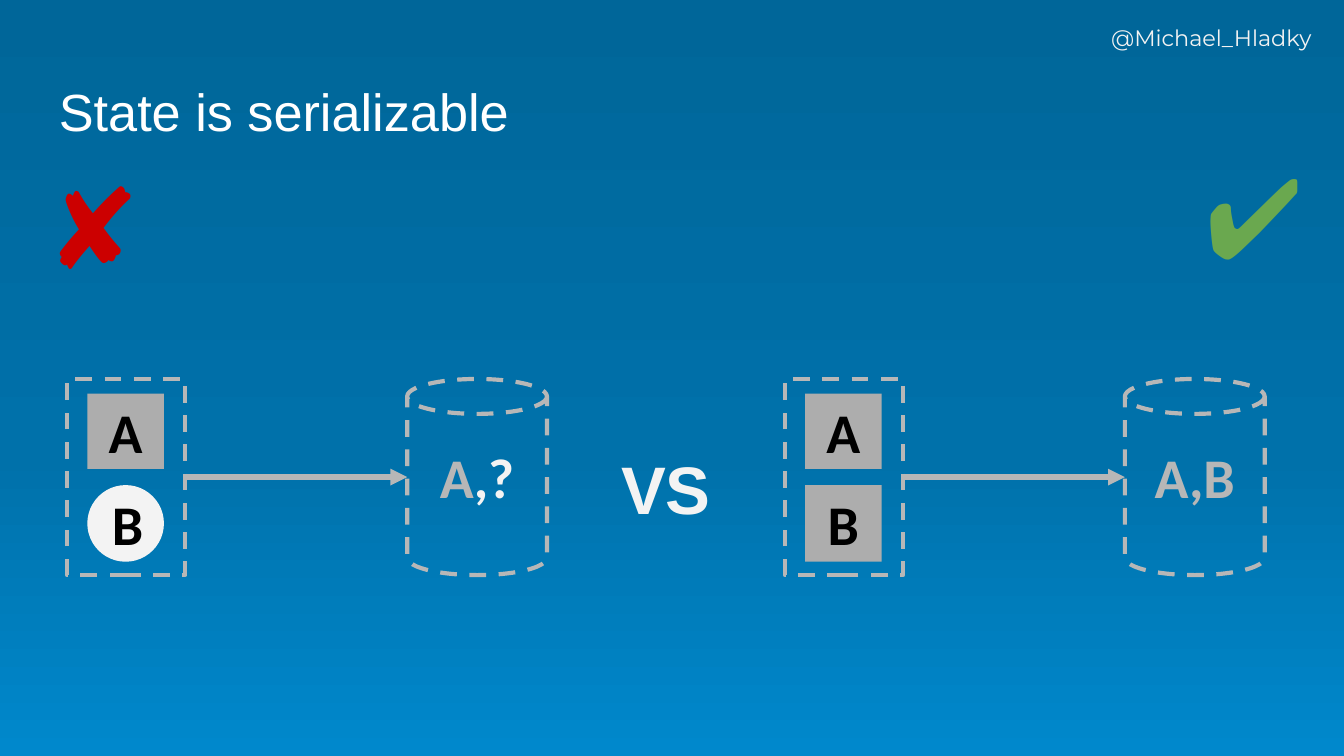
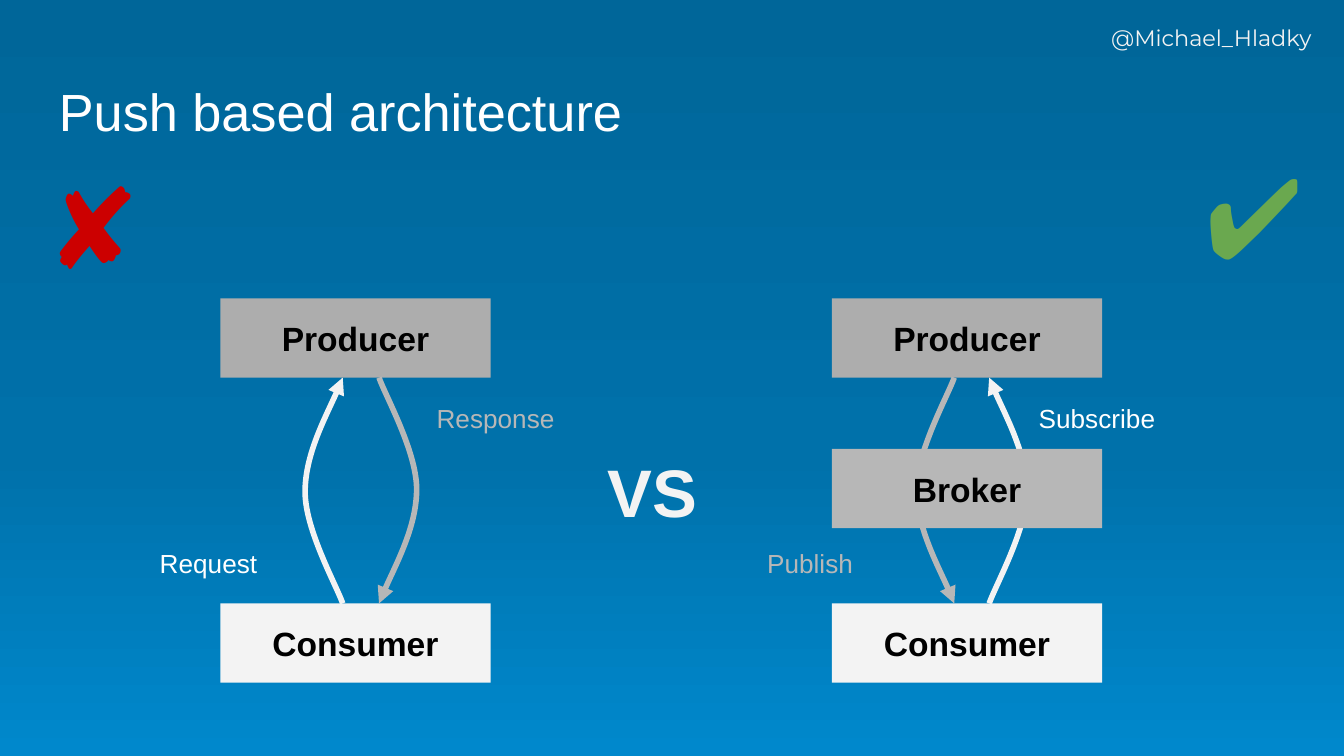
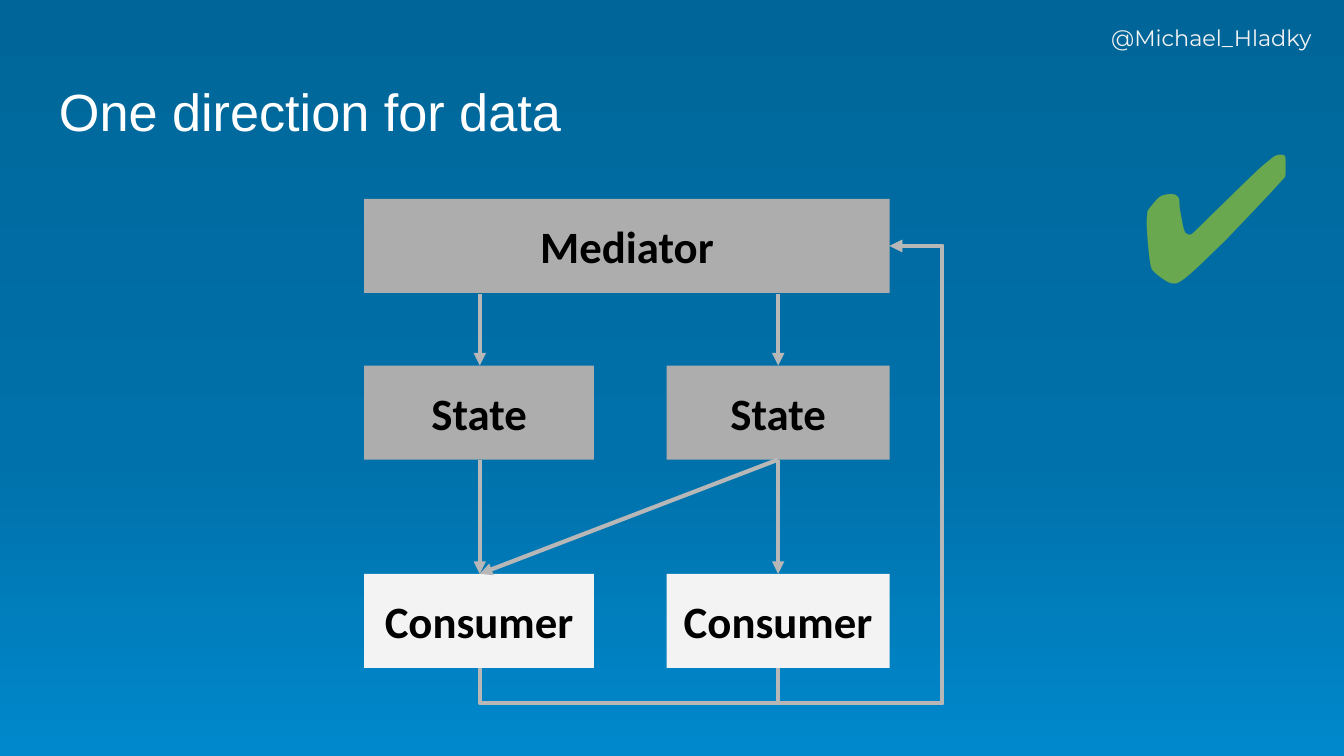
from copy import deepcopy

from lxml.etree import SubElement
from pptx import Presentation
from pptx.dml.color import RGBColor
from pptx.enum.dml import MSO_LINE
from pptx.enum.shapes import MSO_CONNECTOR as Link, MSO_SHAPE as Kind
from pptx.enum.text import MSO_ANCHOR as Anchor, PP_ALIGN as Align
from pptx.oxml.ns import qn
from pptx.util import Inches, Pt

WHITE = RGBColor(0xFF, 0xFF, 0xFF)
BLACK = RGBColor(0x00, 0x00, 0x00)
PALE = RGBColor(0xF3, 0xF3, 0xF3)
SILVER = RGBColor(0xB7, 0xB7, 0xB7)
GRAY = RGBColor(0xAD, 0xAD, 0xAD)
RED = RGBColor(0xCC, 0x00, 0x00)
GREEN = RGBColor(0x6A, 0xA8, 0x4F)
SKY = [
    (0, RGBColor(0x00, 0x66, 0x99)),
    (0.6, RGBColor(0x00, 0x71, 0xAA)),
    (1, RGBColor(0x00, 0x88, 0xCC)),
]


def write(shape, text, font="Arial", size=14, color=WHITE, bold=False,
          align=Align.LEFT, anchor=Anchor.TOP):
    """Fill a shape with text: a string, or a list of (string, colour) runs."""
    frame = shape.text_frame
    frame.word_wrap = True
    frame.vertical_anchor = anchor
    frame.margin_left = frame.margin_right = Inches(0.1)
    frame.margin_top = frame.margin_bottom = Inches(0.1)
    para = frame.paragraphs[0]
    para.alignment = align
    runs = [(text, color)] if isinstance(text, str) else text
    for part, tint in runs:
        run = para.add_run()
        run.text = part
        run.font.name = font
        run.font.size = Pt(size)
        run.font.bold = bold
        run.font.color.rgb = tint


def label(slide, text, *box, **style):
    write(slide.shapes.add_textbox(*map(Inches, box)), text, **style)


def block(slide, text, *box, fill=GRAY, kind=Kind.RECTANGLE, **style):
    """Add a filled shape with bold black text in its middle."""
    shape = slide.shapes.add_shape(kind, *map(Inches, box))
    shape.shadow.inherit = False
    shape.fill.solid()
    shape.fill.fore_color.rgb = fill
    shape.line.fill.background()
    write(shape, text, color=BLACK, bold=True, align=Align.CENTER,
          anchor=Anchor.MIDDLE, **style)


def stroke(item, color=SILVER, width=2.25, arrow=True):
    item.line.color.rgb = color
    item.line.width = Pt(width)
    if arrow:
        ln = item.element.spPr.find(qn("a:ln"))
        SubElement(ln, qn("a:tailEnd"), type="triangle")


def dashed(slide, kind, *box):
    shape = slide.shapes.add_shape(kind, *map(Inches, box))
    shape.shadow.inherit = False
    shape.fill.background()
    stroke(shape, arrow=False)
    shape.line.dash_style = MSO_LINE.DASH


def join(slide, *ends, kind=Link.STRAIGHT, width=2.25):
    """Add an arrow between two points given as x1, y1, x2, y2."""
    link = slide.shapes.add_connector(kind, *map(Inches, ends))
    stroke(link, width=width)
    SubElement(link.element.spPr, qn("a:effectLst"))
    return link


def loop(slide, x1, y1, x2, y2, low, right):
    """Add an arrow that leaves downward, turns at low and right, and ends leftward."""
    rise, run = y1 - y2, x2 - x1
    left, top = (x1 + x2 - rise) / 2, (y1 + y2 - run) / 2
    link = join(slide, left, top, left + rise, top + run, kind=Link.ELBOW)
    props = link.element.spPr
    props.find(qn("a:xfrm")).set("rot", str(270 * 60000))
    geom = props.find(qn("a:prstGeom"))
    geom.set("prst", "bentConnector4")
    guides = geom.find(qn("a:avLst"))
    ratios = (y1 - low) / rise, (right - x1) / run
    for num, ratio in enumerate(ratios, 1):
        SubElement(guides, qn("a:gd"), name=f"adj{num}",
                   fmla=f"val {round(ratio * 100000)}")


def curve(slide, x, side, color, up):
    """Add a bowed arrow between producer and consumer; side is -1 or 1."""
    shifts = [0, 0.05, 0.28, 0.28, 0.28, 0.05, 0]
    drops = [1.68, 1.54, 1.13, 0.85, 0.57, 0.14, 0]
    base, sign = (2.81, 1) if up else (4.49, -1)
    start, *rest = [(Inches(x + side * shift), Inches(base + sign * drop))
                    for shift, drop in zip(shifts, drops)]
    pen = slide.shapes.build_freeform(*start)
    pen.add_line_segments(rest, close=False)
    shape = pen.convert_to_shape()
    trail = shape.element.find(".//" + qn("a:path"))
    lines = trail.findall(qn("a:lnTo"))
    for first in range(0, len(lines), 3):
        bend = SubElement(trail, qn("a:cubicBezTo"))
        for line in lines[first:first + 3]:
            bend.append(line[0])
            trail.remove(line)
    shape.shadow.inherit = False
    shape.fill.background()
    stroke(shape, color, 3)


def start_slide(deck, title):
    slide = deck.slides.add_slide(deck.slide_layouts[6])
    fill = slide.background.fill
    fill.gradient()
    fill.gradient_angle = 270
    stops = slide.element.find(".//" + qn("a:gsLst"))
    stops.append(deepcopy(stops[0]))
    for stop, (place, color) in zip(fill.gradient_stops, SKY):
        stop.position = place
        stop.color.rgb = color
    label(slide, "@Michael_Hladky", 8.17, 0.08, 1.7, 0.45,
          font="Montserrat", size=12, color=PALE)
    label(slide, title, 0.34, 0.49, 9.32, 0.63, size=28)
    return slide


def tick(slide, *box, size=60):
    label(slide, "✔", *box, font="Calibri", size=size, color=GREEN,
          anchor=Anchor.MIDDLE)


def versus(slide, x, y):
    """Add the cross, the tick and the VS between two sides."""
    label(slide, "✘", 0.25, 1.31, 0.74, 0.73, size=60, color=RED,
          anchor=Anchor.MIDDLE)
    tick(slide, 8.87, 1.17, 0.65, 0.84)
    label(slide, "VS", x, y, 1.03, 0.65, size=36, color=PALE, bold=True,
          align=Align.CENTER)


def store(slide, x, saved, **second):
    """Add a box of values A and B that is written to a store."""
    join(slide, x + 0.88, 3.55, x + 2.53, 3.55, width=3)
    dashed(slide, Kind.RECTANGLE, x, 2.82, 0.88, 1.46)
    dashed(slide, Kind.CAN, x + 2.53, 2.82, 1.04, 1.46)
    look = dict(font="Calibri", size=30)
    block(slide, "A", x + 0.15, 2.93, 0.57, 0.56, **look)
    block(slide, "B", x + 0.15, 3.61, 0.57, 0.57, **look, **second)
    label(slide, saved, x + 2.65, 3.28, 0.8, 0.53, bold=True,
          align=Align.CENTER, anchor=Anchor.MIDDLE, **look)


def state_slide(deck):
    slide = start_slide(deck, "State is serializable")
    versus(slide, 4.44, 3.23)
    store(slide, 0.5, [("A", SILVER), (",?", PALE)], kind=Kind.OVAL, fill=PALE)
    store(slide, 5.84, [("A,B", SILVER)])


def push_slide(deck):
    slide = start_slide(deck, "Push based architecture")
    versus(slide, 4.34, 3.25)
    for x in (1.64, 6.19):
        block(slide, "Producer", x, 2.22, 2.01, 0.59, size=18)
        block(slide, "Consumer", x, 4.49, 2.01, 0.59, size=18, fill=PALE)
    curve(slide, 2.82, 1, SILVER, up=False)
    curve(slide, 2.55, -1, PALE, up=True)
    curve(slide, 7.1, -1, SILVER, up=False)
    curve(slide, 7.36, 1, PALE, up=True)
    block(slide, "Broker", 6.19, 3.34, 2.01, 0.59, size=18, fill=SILVER)
    label(slide, "Request", 1.09, 3.97, 1.18, 0.38)
    label(slide, "Response", 3.15, 2.89, 1.39, 0.38, color=SILVER)
    label(slide, "Publish", 5.61, 3.97, 1.07, 0.38, color=SILVER)
    label(slide, "Subscribe", 7.63, 2.89, 1.38, 0.38)


def data_slide(deck):
    slide = start_slide(deck, "One direction for data")
    look = dict(font="Calibri", size=24)
    block(slide, "Mediator", 2.71, 1.48, 3.91, 0.7, **look)
    for x, width, mid in ((2.71, 1.71, 3.57), (4.96, 1.66, 5.79)):
        block(slide, "State", x, 2.72, width, 0.7, **look)
        block(slide, "Consumer", x, 4.27, width, 0.7, fill=PALE, **look)
        join(slide, mid, 2.19, mid, 2.72)
        join(slide, mid, 3.42, mid, 4.27)
        loop(slide, mid, 4.97, 6.62, 1.83, low=5.23, right=7.01)
    join(slide, 5.79, 3.42, 3.57, 4.27)
    tick(slide, 8.37, 0.85, 1.23, 1.42, size=96)


def main():
    deck = Presentation()
    deck.slide_width = Inches(10)
    deck.slide_height = Inches(10 * 9 / 16)
    state_slide(deck)
    push_slide(deck)
    data_slide(deck)
    deck.save("out.pptx")


if __name__ == "__main__":
    main()
